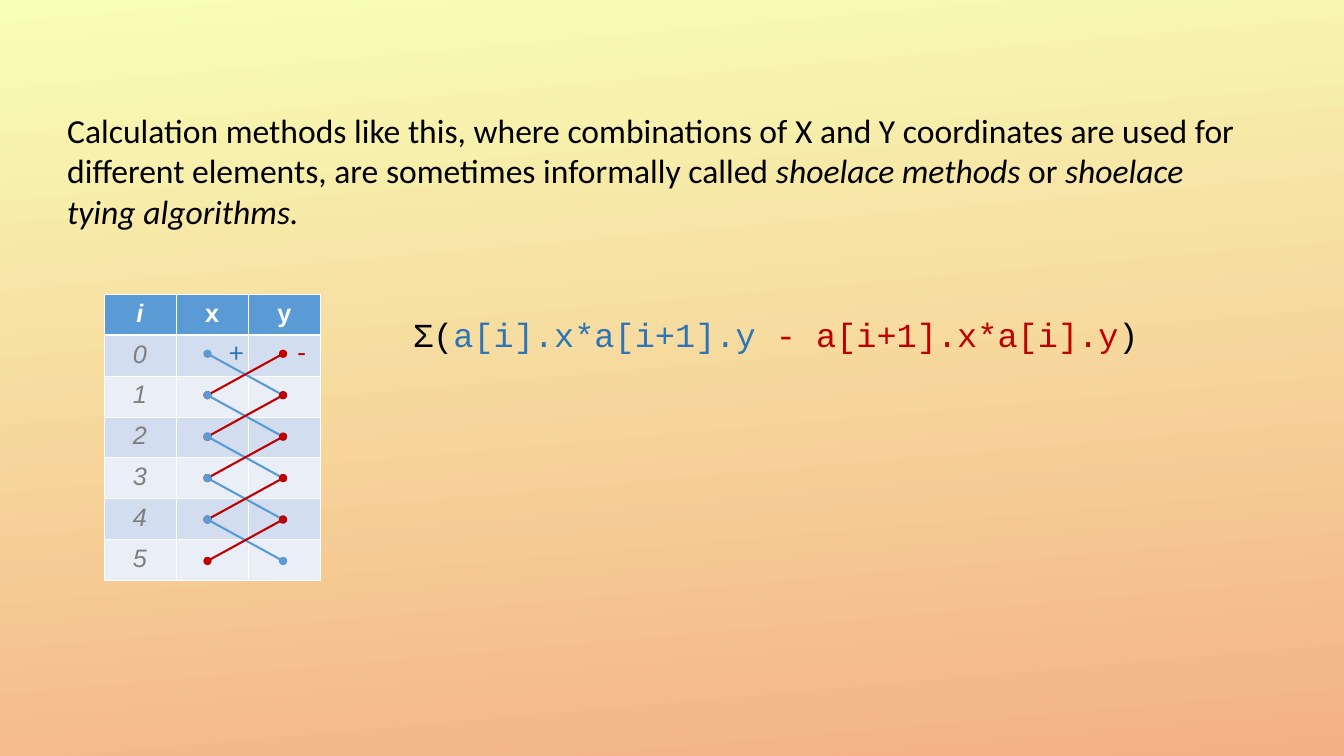
from dataclasses import dataclass

from lxml import etree
from pptx import Presentation
from pptx import util as u
from pptx.dml.color import RGBColor
from pptx.enum import shapes, text
from pptx.oxml import ns

BLACK, WHITE, GREY = "000000", "FFFFFF", "7F7F7F"
RED, BLUE, LIGHT_BLUE = "C00000", "2E75B6", "5B9BD5"
BANDS = ("D2DEEF", "EAEFF7")
HEADERS = ("i", "x", "y")
ROW_COUNT = 6
COLUMN_WIDTH, ROW_HEIGHT = 51.6, 29.2
X_LACE, Y_LACE, LACE_TOP, LACE_STEP = 148.3, 202.3, 252.7, 29.6


@dataclass
class Span:
    words: str
    color: str = BLACK
    italic: bool = False
    bold: bool = False


@dataclass
class TextBox:
    left: float
    top: float
    width: float
    height: float
    spans: list[Span]
    font: str = "Calibri"
    size: float = 24
    margins: tuple[float, float, float, float] = (7.2, 3.6, 7.2, 3.6)
    align: text.PP_ALIGN = text.PP_ALIGN.LEFT
    anchor: text.MSO_ANCHOR = text.MSO_ANCHOR.TOP


@dataclass
class Lace:
    start_x: float
    end_x: float
    color: str


def rgb(color: str) -> RGBColor:
    return RGBColor.from_string(color)


def style_run(run, span: Span, font: str, size: float) -> None:
    run.font.name = font
    run.font.size = u.Pt(size)
    run.font.bold = span.bold
    run.font.italic = span.italic
    run.font.color.rgb = rgb(span.color)


def add_text(slide, box: TextBox) -> None:
    shape = slide.shapes.add_textbox(
        u.Pt(box.left), u.Pt(box.top), u.Pt(box.width), u.Pt(box.height))
    frame = shape.text_frame
    frame.word_wrap = True
    frame.auto_size = text.MSO_AUTO_SIZE.SHAPE_TO_FIT_TEXT
    frame.vertical_anchor = box.anchor
    (frame.margin_left, frame.margin_top,
     frame.margin_right, frame.margin_bottom) = map(u.Pt, box.margins)
    paragraph = frame.paragraphs[0]
    paragraph.alignment = box.align
    for span in box.spans:
        run = paragraph.add_run()
        run.text = span.words
        style_run(run, span, box.font, box.size)


def add_border(cell, side: str, width: float) -> None:
    properties = cell._tc.get_or_add_tcPr()
    line = etree.SubElement(properties, ns.qn(f"a:ln{side}"), w=str(u.Pt(width)))
    fill = etree.SubElement(line, ns.qn("a:solidFill"))
    etree.SubElement(fill, ns.qn("a:srgbClr"), val=WHITE)


def fill_cell(cell, row: int, span: Span) -> None:
    heavy_side = {0: "B", 1: "T"}.get(row)
    for side in "LRTB":
        add_border(cell, side, 1.47 if side == heavy_side else 0.45)
    cell.fill.solid()
    cell.fill.fore_color.rgb = rgb(BANDS[(row - 1) % 2] if row else LIGHT_BLUE)
    if span.words:
        cell.text_frame.text = span.words
        paragraph = cell.text_frame.paragraphs[0]
        paragraph.alignment = text.PP_ALIGN.CENTER
        style_run(paragraph.runs[0], span, "Arial", 18)


def add_coordinate_table(slide) -> None:
    rows, columns = ROW_COUNT + 1, len(HEADERS)
    table = slide.shapes.add_table(
        rows, columns, u.Pt(74.2), u.Pt(210.2),
        u.Pt(COLUMN_WIDTH * columns), u.Pt(ROW_HEIGHT * rows)).table
    for column in table.columns:
        column.width = u.Pt(COLUMN_WIDTH)
    for row in table.rows:
        row.height = u.Pt(ROW_HEIGHT)
    for column, header in enumerate(HEADERS):
        fill_cell(table.cell(0, column), 0,
                  Span(header, WHITE, italic=column == 0, bold=True))
        for row in range(1, rows):
            index = str(row - 1) if column == 0 else ""
            fill_cell(table.cell(row, column), row, Span(index, GREY, italic=True))


def add_lace(slide, lace: Lace, row: int) -> None:
    top = LACE_TOP + row * LACE_STEP
    connector = slide.shapes.add_connector(
        shapes.MSO_CONNECTOR.STRAIGHT, u.Pt(lace.start_x), u.Pt(top),
        u.Pt(lace.end_x), u.Pt(top + LACE_STEP))
    connector.line.color.rgb = rgb(lace.color)
    connector.line.width = u.Pt(1.5)
    line = connector.line._get_or_add_ln()
    for end in ("a:headEnd", "a:tailEnd"):
        etree.SubElement(line, ns.qn(end), type="oval")
    etree.SubElement(connector._element.spPr, ns.qn("a:effectLst"))


def sign_box(left: float, sign: str, color: str) -> TextBox:
    return TextBox(left, 239, 13.7, 24, [Span(sign, color)], size=20,
                   margins=(0, 0, 0, 0), align=text.PP_ALIGN.CENTER)


def main() -> None:
    presentation = Presentation()
    presentation.slide_width = u.Pt(960.48)
    presentation.slide_height = u.Pt(540)
    slide = presentation.slides.add_slide(presentation.slide_layouts[6])

    background = slide.background.fill
    background.gradient()
    background.gradient_angle = 275
    for stop, color in zip(background.gradient_stops, ("F8FFB7", "F4B183")):
        stop.color.rgb = rgb(color)

    add_text(slide, TextBox(41, 74.9, 864, 93.6, [
        Span("Calculation methods like this, where combinations of X and Y "
             "coordinates are used for different elements, are sometimes "
             "informally called "),
        Span("shoelace methods", italic=True),
        Span(" or "),
        Span("shoelace tying algorithms.", italic=True),
    ]))
    add_coordinate_table(slide)

    laces = (Lace(X_LACE, Y_LACE, LIGHT_BLUE), Lace(Y_LACE, X_LACE, RED))
    for row in range(ROW_COUNT - 1):
        for lace in laces:
            add_lace(slide, lace, row)

    add_text(slide, sign_box(162, "+", BLUE))
    add_text(slide, sign_box(208.8, "-", RED))
    add_text(slide, TextBox(273.6, 221, 574.6, 36, [
        Span("Σ("),
        Span("a[i].x*a[i+1].y ", BLUE),
        Span("- a[i+1].x*a[i].y", RED),
        Span(")"),
    ], font="Courier New", margins=(21.6, 3.6, 7.2, 3.6),
        anchor=text.MSO_ANCHOR.MIDDLE))

    presentation.save("out.pptx")


if __name__ == "__main__":
    main()
